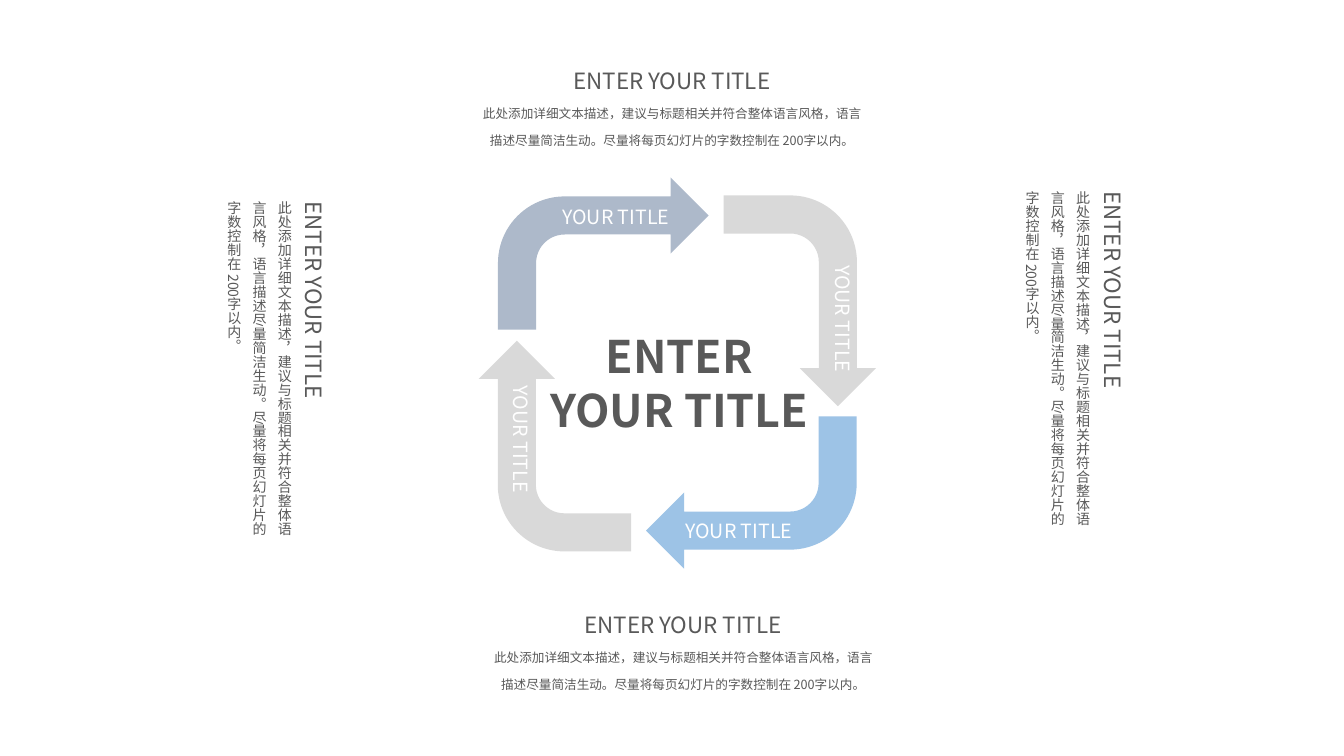
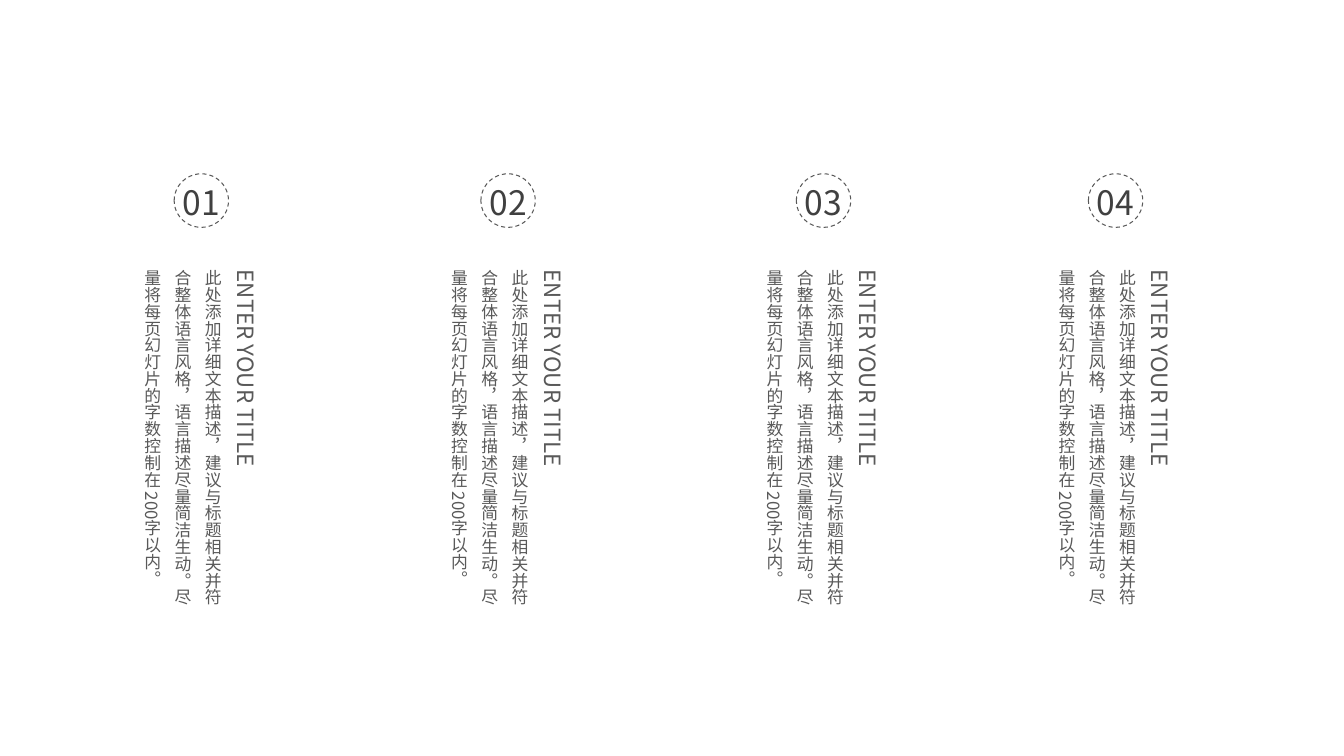
from dataclasses import dataclass

from lxml.etree import SubElement
from pptx import Presentation
from pptx.dml.color import RGBColor
from pptx.enum.dml import MSO_LINE
from pptx.enum.shapes import MSO_SHAPE
from pptx.enum.text import MSO_ANCHOR, MSO_AUTO_SIZE, PP_ALIGN
from pptx.oxml.ns import qn
from pptx.util import Cm, Pt


@dataclass(frozen=True)
class Theme:
    font: str = "Noto Sans CJK SC"
    text: str = "595959"
    number: str = "404040"
    white: str = "FFFFFF"
    slate: str = "ADB9CA"
    gray: str = "D9D9D9"
    blue: str = "9DC3E6"
    title_size: int = 32
    number_size: int = 24
    heading_size: int = 16
    label_size: int = 14
    column_size: int = 12
    side_size: int = 10
    caption_size: int = 9


THEME = Theme()

CYCLE_TITLE = "ENTER\nYOUR TITLE"
HEADING = "ENTER YOUR TITLE"
LABEL = "YOUR TITLE"
DESCRIPTION = (
    "此处添加详细文本描述，建议与标题相关并符合整体语言风格，"
    "语言描述尽量简洁生动。尽量将每页幻灯片的字数控制在 200字以内。"
)

ARROW_SIZE = (5.31, 3.84)
ARROWS = [
    (12.55, 4.47, THEME.slate),
    (17.5, 5.66, THEME.gray),
    (16.28, 10.49, THEME.blue),
    (11.33, 9.32, THEME.gray),
]
LABELS = [
    (13.92, 5.03, False),
    (17.02, 12.95, False),
    (20.55, 6.43, True),
    (12.45, 9.47, True),
]
SIDE_NOTES = [(5.28, 4.83), (25.4, 4.57)]
CAPTIONS = [(11.79, 1.02), (12.07, 14.73)]

COLUMNS = [("01", 4.39), ("02", 12.12), ("03", 20.07), ("04", 27.43)]
CIRCLE_TOP, CIRCLE_WIDTH, CIRCLE_HEIGHT = 4.38, 1.37, 1.35
NUMBER_TOP, NUMBER_WIDTH, NUMBER_HEIGHT = 4.47, 1.65, 1.27
COLUMN_OFFSET, COLUMN_TOP = -1.22, 6.55
COLUMN_WIDTH, COLUMN_HEIGHT = 3.84, 9.22


def format_paragraph(paragraph, size, color, alignment=PP_ALIGN.LEFT, bold=False):
    paragraph.alignment = alignment
    font = paragraph.font
    font.size = Pt(size)
    font.bold = bold
    font.color.rgb = RGBColor.from_string(color)
    font.name = THEME.font
    defaults = paragraph._p.pPr.find(qn("a:defRPr"))
    SubElement(defaults, qn("a:ea"), typeface=THEME.font)


def add_text(slide, box, lines, color, alignment=PP_ALIGN.LEFT, vertical=False,
             wrap=True, line_spacing=None):
    text_box = slide.shapes.add_textbox(*map(Cm, box))
    frame = text_box.text_frame
    frame.word_wrap = wrap
    frame.auto_size = MSO_AUTO_SIZE.SHAPE_TO_FIT_TEXT
    if vertical:
        frame._txBody.bodyPr.set("vert", "eaVert")
    frame.text = "\n".join(text for text, _ in lines)
    for paragraph, (_, size) in zip(frame.paragraphs, lines):
        if line_spacing:
            paragraph.line_spacing = line_spacing
        format_paragraph(paragraph, size, color, alignment)


def add_note(slide, box, size, vertical):
    add_text(
        slide, box,
        [(HEADING, THEME.heading_size), (DESCRIPTION, size)],
        THEME.text,
        alignment=PP_ALIGN.LEFT if vertical else PP_ALIGN.CENTER,
        vertical=vertical,
        line_spacing=1.5 if vertical else 1.8,
    )


def add_title(slide):
    title = slide.shapes.title
    title.left, title.top, title.width, title.height = map(Cm, (13.49, 8.15, 7.26, 3))
    frame = title.text_frame
    frame.text = CYCLE_TITLE
    frame.word_wrap = False
    frame.auto_size = MSO_AUTO_SIZE.NONE
    frame.vertical_anchor = MSO_ANCHOR.TOP
    for paragraph in frame.paragraphs:
        format_paragraph(paragraph, THEME.title_size, THEME.text, PP_ALIGN.CENTER, True)


def build_cycle_slide(presentation):
    slide = presentation.slides.add_slide(presentation.slide_layouts[5])
    for index, (left, top, color) in enumerate(ARROWS):
        arrow = slide.shapes.add_shape(
            MSO_SHAPE.BENT_ARROW, *map(Cm, (left, top, *ARROW_SIZE)))
        arrow.rotation = 90 * index
        arrow.shadow.inherit = False
        arrow.fill.solid()
        arrow.fill.fore_color.rgb = RGBColor.from_string(color)
        arrow.line.fill.background()
    add_title(slide)
    for left, top, vertical in LABELS:
        size = (1.12, 3.02) if vertical else (3.28, 0.86)
        add_text(slide, (left, top, *size), [(LABEL, THEME.label_size)],
                 THEME.white, vertical=vertical, wrap=False)
    for left, top in SIDE_NOTES:
        add_note(slide, (left, top, 3.45, 9.22), THEME.side_size, True)
    for left, top in CAPTIONS:
        add_note(slide, (left, top, 10.29, 2.87), THEME.caption_size, False)


def build_columns_slide(presentation):
    slide = presentation.slides.add_slide(presentation.slide_layouts[6])
    for number, left in COLUMNS:
        number_left = left + (CIRCLE_WIDTH - NUMBER_WIDTH) / 2
        add_text(slide, (number_left, NUMBER_TOP, NUMBER_WIDTH, NUMBER_HEIGHT),
                 [(number, THEME.number_size)], THEME.number, PP_ALIGN.CENTER)
        add_note(slide, (left + COLUMN_OFFSET, COLUMN_TOP, COLUMN_WIDTH, COLUMN_HEIGHT),
                 THEME.column_size, True)
        circle = slide.shapes.add_shape(
            MSO_SHAPE.OVAL, *map(Cm, (left, CIRCLE_TOP, CIRCLE_WIDTH, CIRCLE_HEIGHT)))
        circle.shadow.inherit = False
        circle.fill.background()
        circle.line.color.rgb = RGBColor.from_string(THEME.text)
        circle.line.width = Pt(0)
        circle.line.dash_style = MSO_LINE.DASH


def main():
    presentation = Presentation()
    presentation.slide_width = Cm(33.87)
    presentation.slide_height = Cm(19.05)
    build_cycle_slide(presentation)
    build_columns_slide(presentation)
    presentation.save("out.pptx")


if __name__ == "__main__":
    main()
